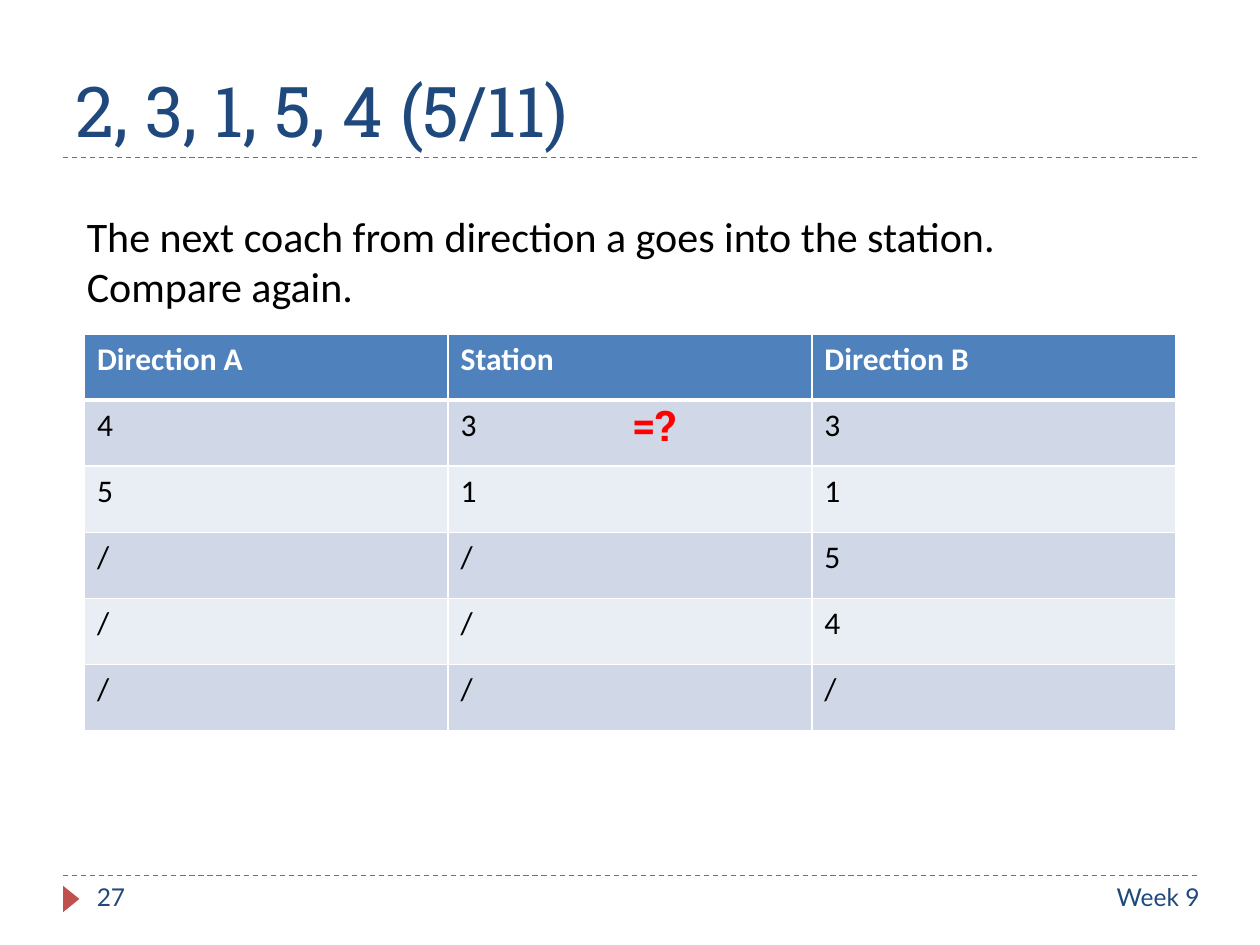
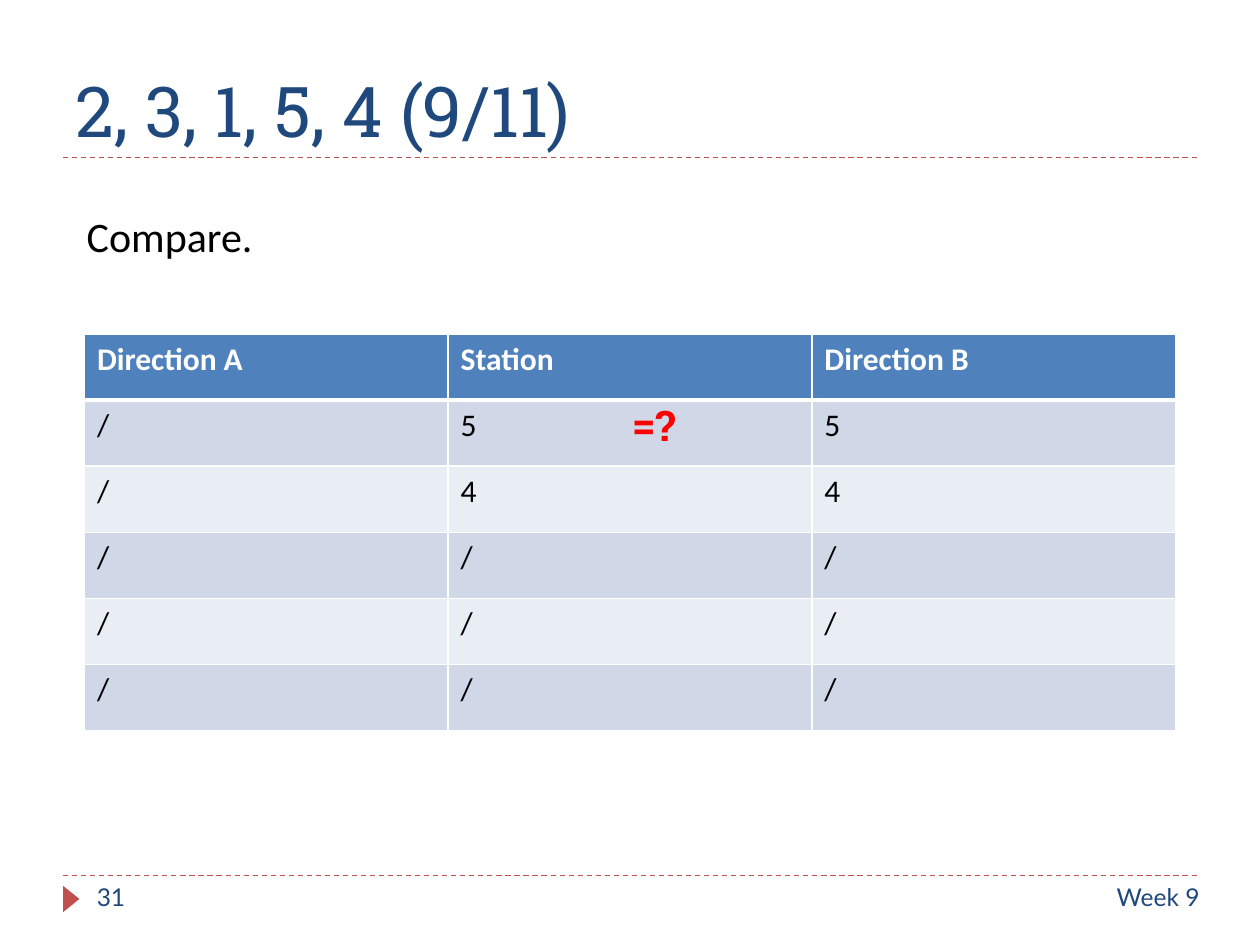
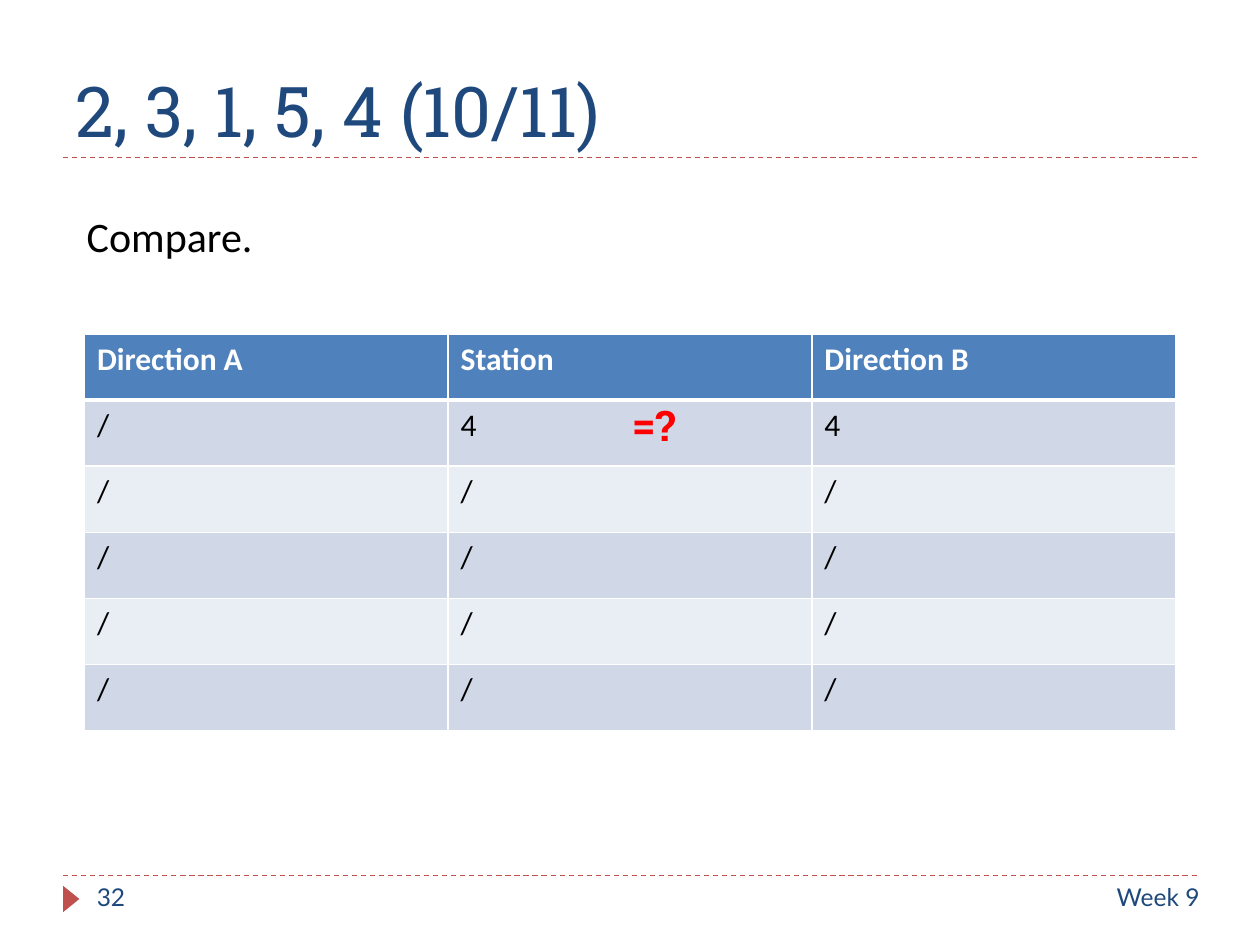
from dataclasses import dataclass

from lxml.etree import SubElement as Sub
from pptx import Presentation
from pptx.dml.color import RGBColor
from pptx.enum.dml import MSO_LINE_DASH_STYLE as Dash
from pptx.enum.shapes import MSO_CONNECTOR as Link, MSO_SHAPE as Kind
from pptx.enum.text import MSO_ANCHOR as Anchor, MSO_AUTO_SIZE as Fit, PP_ALIGN as Align
from pptx.oxml.ns import qn
from pptx.slide import Slide
from pptx.table import _Cell as Cell
from pptx.text.text import TextFrame as Frame
from pptx.util import Inches, Pt

# The slide is a grid of 100 columns and 75 square rows.
WIDE, HIGH = Inches(10), Inches(7.5)
COLS, ROWS = 100, 75
LEFT, RIGHT = 5, 95
RULES = (69.5, 12.5)

NAVY, RED, BRICK = "1F497D", "FF0000", "C0504D"
BLACK, WHITE = "000000", "FFFFFF"
HEAD, BANDS = "4F81BD", ("D0D8E8", "E9EDF4")
SLAB, SANS, FOOT = "Roboto Slab", "Calibri", "Lato"


@dataclass(frozen=True)
class Box:
    """A place on the grid, in columns and rows."""
    col: float
    row: float
    wide: float
    high: float

    def place(self) -> tuple[int, int, int, int]:
        """Give left, top, width and height as slide lengths."""
        return across(self.col), down(self.row), across(self.wide), down(self.high)


@dataclass(frozen=True)
class Style:
    """The look of a run of text."""
    font: str
    size: float
    color: str
    bold: bool = False


@dataclass(frozen=True)
class Step:
    """One step of the sorting: page, note lines and the tracks' coaches."""
    page: int
    turn: int
    note: tuple[str, ...]
    note_box: Box
    tracks: tuple[str, str, str]


TITLE = Style(SLAB, 40, NAVY)
NOTE = Style(SANS, 24, BLACK)
MARK = Style(SLAB, 24, RED, True)
TOP = Style(SANS, 18, WHITE, True)
BODY = Style(SANS, 18, BLACK)
SMALL = Style(FOOT, 14, NAVY)

TITLE_BOX = Box(LEFT, 1.7, RIGHT - LEFT, 10.8)
GRID_BOX = Box(6.7, 26.5, 86.6, 31.5)
MARK_BOX = Box(49.2, 31.2, 6.3, 5)
PAGE_BOX = Box(6.7, RULES[0], 21.7, 4)
WEEK_BOX = Box(57.9, RULES[0], 38.3, 4)
ARROW_BOX = Box(4.6, 70.7, 2.1, 1.3)
SHORT = Box(5.9, 16.2, 15.7, 5)
LONG = Box(5.9, 16.2, 75.5, 9.1)

NAMES = ("Direction A", "Station ", "Direction B")
DEPTH = 5
STEPS = (
    Step(27, 5, ("The next coach from direction a goes into the station. ",
                 "Compare again."), LONG, ("45", "31", "3154")),
    Step(31, 9, ("Compare.",), SHORT, ("", "54", "54")),
    Step(32, 10, ("Compare.",), SHORT, ("", "4", "4")),
)


def across(cols: float) -> int:
    """Turn columns into a length."""
    return round(WIDE * cols / COLS)


def down(rows: float) -> int:
    """Turn rows into a length."""
    return round(HIGH * rows / ROWS)


def paint(part, color: str) -> None:
    """Give a fill or a line one solid colour."""
    fill = getattr(part, "fill", part)
    fill.solid()
    fill.fore_color.rgb = RGBColor.from_string(color)


def write(frame: Frame, lines: tuple[str, ...], style: Style,
          align: Align = Align.LEFT) -> None:
    """Write each line as a paragraph with one run."""
    for i, line in enumerate(lines):
        para = frame.add_paragraph() if i else frame.paragraphs[0]
        para.alignment = align
        run = para.add_run()
        run.text = line
        font = run.font
        font.name, font.size, font.bold = style.font, Pt(style.size), style.bold
        paint(font, style.color)


def label(slide: Slide, box: Box, lines: tuple[str, ...], style: Style,
          align: Align = Align.LEFT, wrap: bool = False) -> None:
    """Add a text box, which grows with its text unless it wraps."""
    frame = slide.shapes.add_textbox(*box.place()).text_frame
    frame.word_wrap = wrap
    frame.auto_size = Fit.NONE if wrap else Fit.SHAPE_TO_FIT_TEXT
    write(frame, lines, style, align)


def rule(slide: Slide, row: float) -> None:
    """Draw a dashed line across the slide."""
    line = slide.shapes.add_connector(
        Link.STRAIGHT, across(LEFT), down(row), across(RIGHT), down(row))
    paint(line.line, BRICK)
    line.line.width = Pt(0.75)
    line.line.dash_style = Dash.DASH
    Sub(line._element.spPr, qn("a:effectLst"))


def frame_up(slide: Slide, page: int) -> None:
    """Draw the rules, the arrow and the footer."""
    for row in RULES:
        rule(slide, row)
    arrow = slide.shapes.add_shape(Kind.ISOSCELES_TRIANGLE, *ARROW_BOX.place())
    arrow.rotation = 90
    arrow.shadow.inherit = False
    arrow.line.fill.background()
    paint(arrow, BRICK)
    label(slide, PAGE_BOX, (str(page),), SMALL, wrap=True)
    label(slide, WEEK_BOX, ("Week 9",), SMALL, Align.RIGHT, wrap=True)


def edge(cell: Cell, below: float, above: float) -> None:
    """Give a cell white borders, put ahead of its fill."""
    props = cell._tc.get_or_add_tcPr()
    widths = {"lnL": 1, "lnR": 1, "lnT": above, "lnB": below}
    for i, (side, width) in enumerate(widths.items()):
        line = Sub(props, qn(f"a:{side}"), w=str(Pt(width)))
        Sub(Sub(line, qn("a:solidFill")), qn("a:srgbClr"), val=WHITE)
        props.insert(i, line)


def grid(slide: Slide, tracks: tuple[str, str, str]) -> None:
    """Add the table of tracks, with a slash in each empty place."""
    table = slide.shapes.add_table(DEPTH + 1, len(NAMES), *GRID_BOX.place()).table
    lists = [track.ljust(DEPTH, "/") for track in tracks]
    for r, words in enumerate([NAMES, *zip(*lists)]):
        for c, word in enumerate(words):
            cell = table.cell(r, c)
            paint(cell, BANDS[(r - 1) % 2] if r else HEAD)
            edge(cell, 1 if r else 3, 3 if r == 1 else 1)
            write(cell.text_frame, (word,), BODY if r else TOP)


def build(deck, step: Step) -> None:
    """Make the slide of one step."""
    slide = deck.slides.add_slide(deck.slide_layouts.get_by_name("Title Only"))
    title = slide.shapes.title
    title.left, title.top, title.width, title.height = TITLE_BOX.place()
    title.text_frame.vertical_anchor = Anchor.BOTTOM
    title.text_frame.auto_size = Fit.NONE
    write(title.text_frame, (f"2, 3, 1, 5, 4 ({step.turn}/11)",), TITLE)
    frame_up(slide, step.page)
    grid(slide, step.tracks)
    label(slide, step.note_box, step.note, NOTE)
    label(slide, MARK_BOX, ("=?",), MARK)


def main() -> None:
    """Build the deck and save it."""
    deck = Presentation()
    deck.slide_width, deck.slide_height = WIDE, HIGH
    for step in STEPS:
        build(deck, step)
    deck.save("out.pptx")


main()
